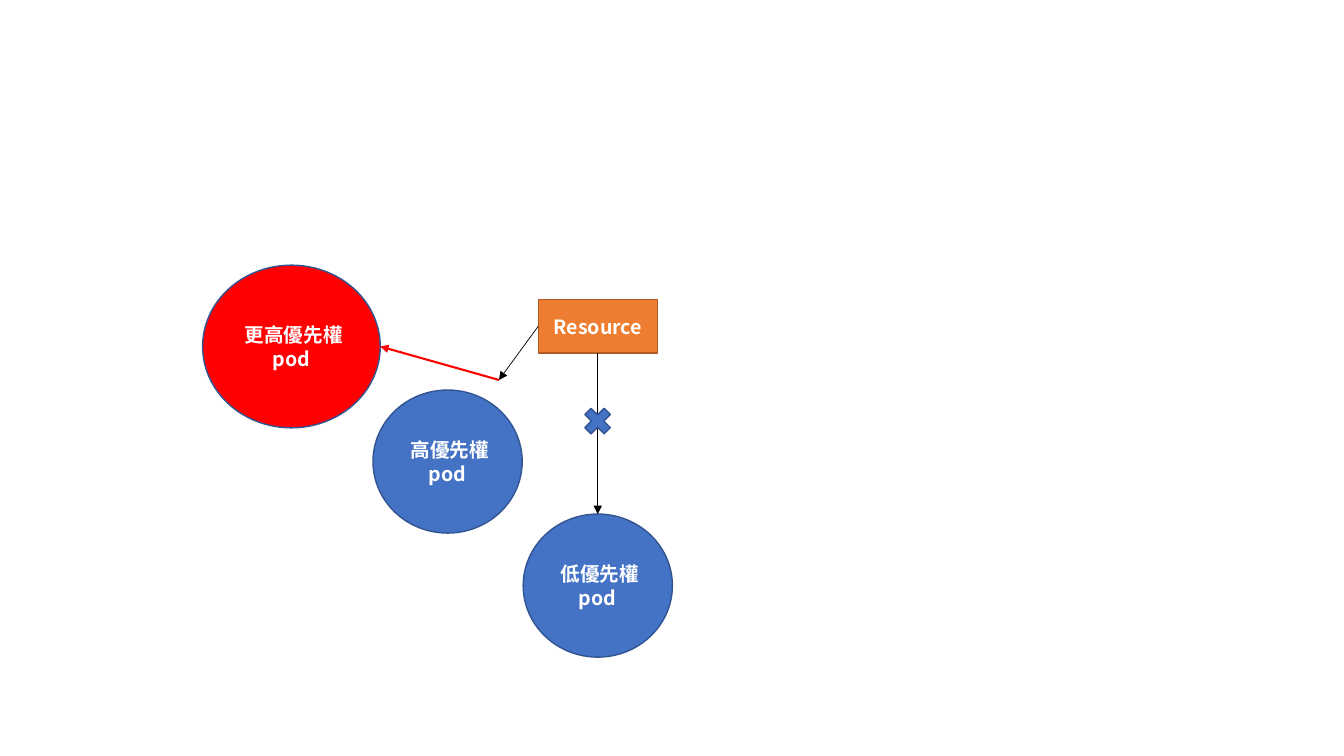
import pptx
import pptx.util
import pptx.dml.color
import pptx.enum.shapes
import pptx.enum.text
from dataclasses import dataclass
from lxml import etree
from pptx.oxml.ns import qn

Pt = pptx.util.Pt
Kind = pptx.enum.shapes.MSO_SHAPE


@dataclass(frozen=True)
class Theme:
    font: str = "Noto Sans CJK SC"
    size: float = 14
    text: str = "FFFFFF"
    blue: str = "4472C4"
    edge: str = "325491"
    red: str = "FF0000"
    orange: str = "ED7D31"
    rust: str = "AF5C24"
    black: str = "000000"


theme = Theme()


def color(code):
    return pptx.dml.color.RGBColor.from_string(code)


def write(shape, text, size=theme.size, ink=theme.text, bold=True):
    """Fill a shape with centred text, one paragraph per line."""
    frame = shape.text_frame
    frame.word_wrap = True
    frame.vertical_anchor = pptx.enum.text.MSO_ANCHOR.MIDDLE
    frame.text = text
    for para in frame.paragraphs:
        para.alignment = pptx.enum.text.PP_ALIGN.CENTER
        for run in para.runs:
            font = run.font
            font.size, font.bold, font.name = Pt(size), bold, theme.font
            font.color.rgb = color(ink)
            # East Asian glyphs need their own font entry
            asian = etree.SubElement(run._r.get_or_add_rPr(), qn("a:ea"))
            asian.set("typeface", theme.font)


def node(slide, kind, box, fill, edge=theme.edge, text=None):
    shape = slide.shapes.add_shape(kind, *map(Pt, box))
    shape.shadow.inherit = False
    shape.fill.solid()
    shape.fill.fore_color.rgb = color(fill)
    shape.line.color.rgb = color(edge)
    shape.line.width = Pt(1)
    if text:
        write(shape, text)
    return shape


def arrow(slide, start, end, ink=theme.black, width=0.5):
    straight = pptx.enum.shapes.MSO_CONNECTOR.STRAIGHT
    link = slide.shapes.add_connector(straight, *start, *end)
    link.line.color.rgb = color(ink)
    link.line.width = Pt(width)
    head = etree.SubElement(link.line._get_or_add_ln(), qn("a:tailEnd"))
    head.set("type", "triangle")
    etree.SubElement(link._element.spPr, qn("a:effectLst"))


def center(shape):
    return shape.left + shape.width // 2, shape.top + shape.height // 2


def diagram(slide, left, top):
    def place(x, y, wide, high):
        return left + x, top + y, wide, high

    # Waiting pods and the shared resource
    node(slide, Kind.OVAL, place(121.7, 89.2, 106.6, 102.2),
         theme.blue, text=" 高優先權pod")
    low = node(slide, Kind.OVAL, place(229, 177.8, 106.6, 102.2),
               theme.blue, text=" 低優先權\npod")
    source = node(slide, Kind.RECTANGLE, place(239.8, 24.4, 85, 38.4),
                  theme.orange, theme.rust, "Resource")

    # Resource to the low and high priority pods
    mid_x, mid_y = center(source)
    bend = Pt(left + 211.7), Pt(top + 82)
    arrow(slide, (mid_x, source.top + source.height),
          (center(low)[0], low.top))
    arrow(slide, (source.left, mid_y), bend)

    # Higher priority pod takes over the resource
    first = node(slide, Kind.OVAL, place(0, 0, 126.9, 116.2),
                 theme.red, text=" 更高優先權\npod")
    arrow(slide, bend, (first.left + first.width, center(first)[1]),
          theme.red, 1.5)

    # Cross over the blocked path
    node(slide, Kind.MATH_MULTIPLY, place(268.9, 98.1, 26.6, 26.6),
         theme.blue)


deck = pptx.Presentation()
deck.slide_width, deck.slide_height = Pt(960), Pt(540)
blank = deck.slide_layouts[6]
diagram(deck.slides.add_slide(blank), 144.7, 189.4)
deck.save("out.pptx")
